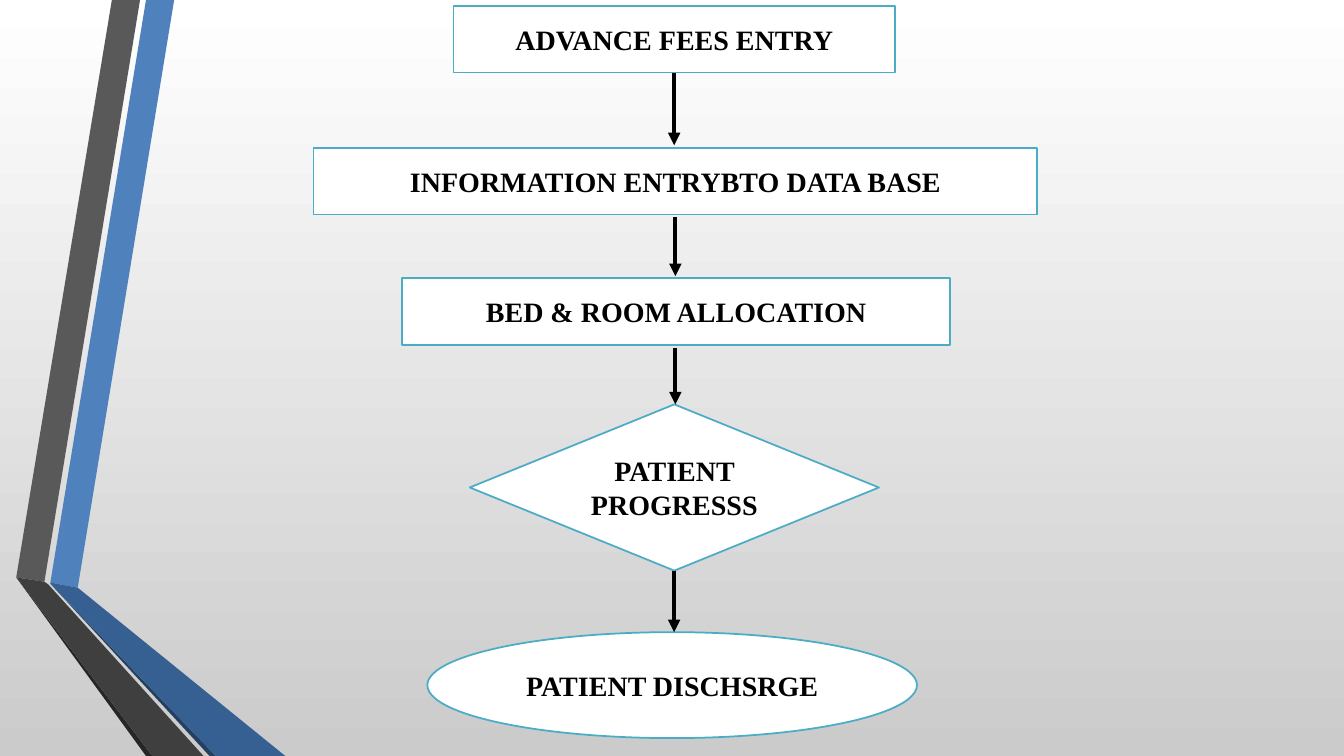
"""Build a flowchart slide of a hospital stay, from advance fees to discharge."""
from pptx import Presentation
from pptx import util as u
from pptx.dml import color
from pptx.enum import shapes, text
from pptx.oxml import ns, xmlchemy

COLORS = {
    "white": "FFFFFF", "silver": "CBCBCB", "black": "000000", "teal": "4BACC6",
    "blue": "4F81BD", "deep blue": "366092", "navy": "244061",
    "gray": "595959", "dark gray": "3F3F3F", "charcoal": "262626",
}


def rgb(name):
    return color.RGBColor.from_string(COLORS[name])


def write(shape, words, font="Times New Roman", size=20, bold=True, ink="black"):
    frame = shape.text_frame
    frame.word_wrap = True
    frame.vertical_anchor = text.MSO_ANCHOR.MIDDLE
    para = frame.paragraphs[0]
    para.alignment = text.PP_ALIGN.CENTER
    span = para.add_run()
    span.text = words
    span.font.name = font
    span.font.size = u.Pt(size)
    span.font.bold = bold
    span.font.color.rgb = rgb(ink)


deck = Presentation()
deck.slide_width, deck.slide_height = u.Cm(33.87), u.Cm(19.05)
page = deck.slides.add_slide(deck.slide_layouts[6])

backdrop = page.background.fill
backdrop.gradient()
backdrop.gradient_angle = 270
for stop, name, position in zip(backdrop.gradient_stops, ("white", "silver"), (0, 1)):
    stop.color.rgb = rgb(name)
    stop.position = position

ribbons = [
    ("blue", [(1.27, 14.68), (1.96, 14.81), (4.39, 0), (3.68, 0)]),
    ("gray", [(3.53, 0), (2.82, 0), (0.41, 14.55), (1.12, 14.66)]),
    ("charcoal", [(0.41, 14.55), (3.68, 19.05), (3.84, 19.05)]),
    ("navy", [(1.27, 14.71), (5.28, 19.05), (5.44, 19.05)]),
    ("deep blue", [(1.27, 14.71), (5.44, 19.05), (7.19, 19.05), (1.96, 14.81), (1.27, 14.68)]),
    ("dark gray", [(5.13, 19.05), (1.22, 14.73), (1.12, 14.66), (0.41, 14.55), (3.84, 19.05)]),
]
for name, corners in ribbons:
    points = [(u.Cm(x), u.Cm(y)) for x, y in corners]
    outline = page.shapes.build_freeform(*points[0])
    outline.add_line_segments(points[1:], close=True)
    ribbon = outline.convert_to_shape()
    ribbon.shadow.inherit = False
    ribbon.fill.solid()
    ribbon.fill.fore_color.rgb = rgb(name)
    ribbon.line.fill.background()

kinds = shapes.MSO_SHAPE
steps = [
    ("ADVANCE FEES ENTRY", kinds.RECTANGLE, 11.43, 0.15, 11.13, 1.68),
    ("INFORMATION ENTRYBTO DATA BASE", kinds.RECTANGLE, 7.9, 3.73, 18.24, 1.68),
    ("BED & ROOM ALLOCATION", kinds.RECTANGLE, 10.13, 7.01, 13.82, 1.68),
    ("PATIENT PROGRESSS", kinds.DIAMOND, 11.84, 10.19, 10.31, 4.19),
    ("PATIENT DISCHSRGE", kinds.OVAL, 10.77, 15.93, 12.34, 2.67),
]
for words, kind, *place in steps:
    box = page.shapes.add_shape(kind, *map(u.Cm, place))
    box.shadow.inherit = False
    box.fill.solid()
    box.fill.fore_color.rgb = rgb("white")
    box.line.color.rgb = rgb("teal")
    box.line.width = u.Pt(1.25)
    write(box, words)

arrows = [(16.99, 1.83, 3.66), (17.02, 5.46, 6.96), (17.02, 8.76, 10.19), (16.99, 14.38, 15.93)]
for x, top, bottom in arrows:
    arrow = page.shapes.add_connector(
        shapes.MSO_CONNECTOR.STRAIGHT, u.Cm(x), u.Cm(top), u.Cm(x), u.Cm(bottom))
    arrow.line.color.rgb = rgb("black")
    arrow.line.width = u.Pt(3)
    head = xmlchemy.OxmlElement("a:tailEnd")
    head.set("type", "triangle")
    arrow.line._get_or_add_ln().append(head)
    arrow._element.spPr.append(xmlchemy.OxmlElement("a:effectLst"))

deck.save("out.pptx")
